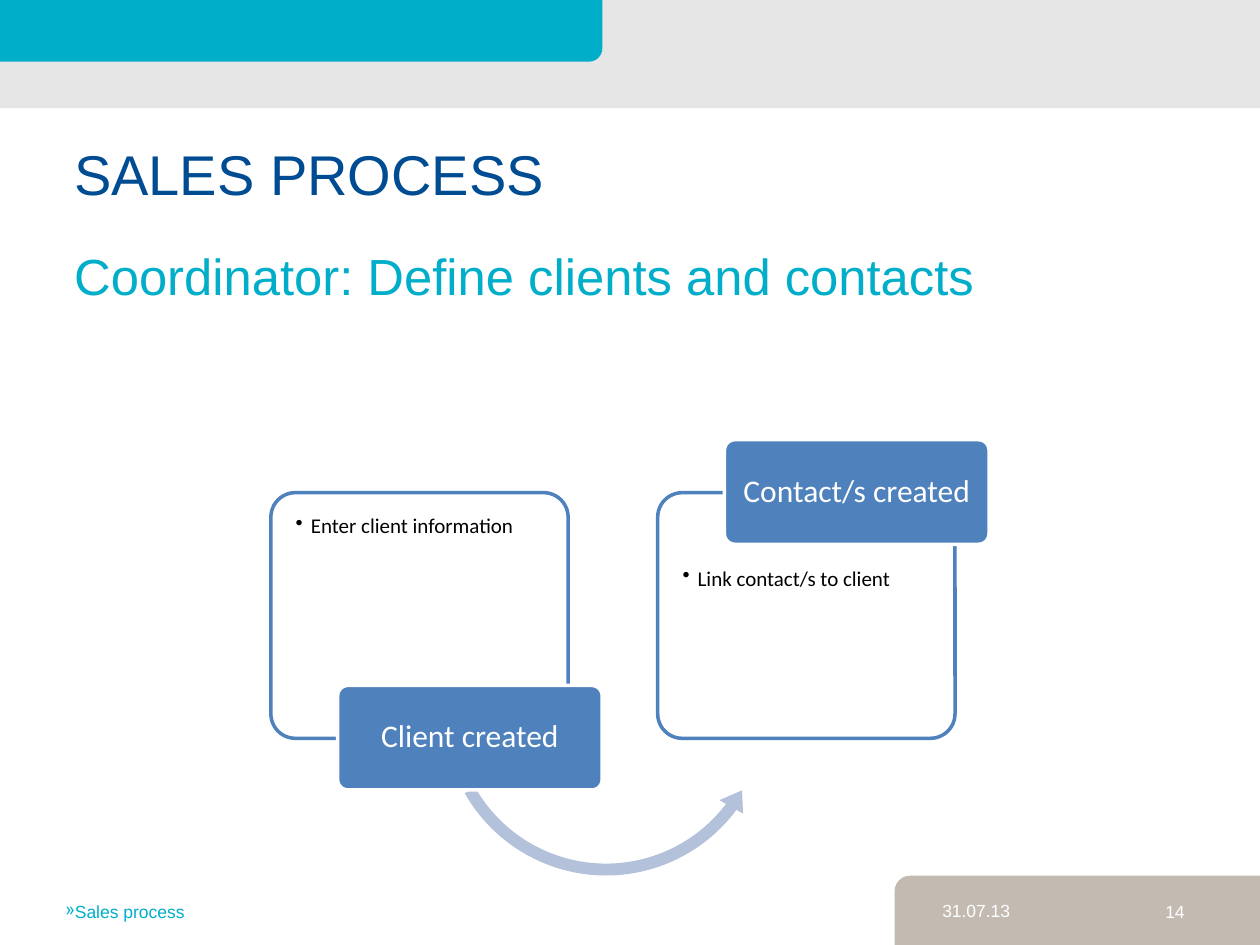
from dataclasses import dataclass

from lxml import etree
from pptx import Presentation
from pptx.dml.color import RGBColor
from pptx.enum.shapes import MSO_SHAPE
from pptx.enum.text import MSO_ANCHOR, PP_ALIGN
from pptx.oxml.ns import qn
from pptx.util import Inches, Pt

RECT = MSO_SHAPE.RECTANGLE
ROUNDED = MSO_SHAPE.ROUNDED_RECTANGLE
CURVED_ARROW = MSO_SHAPE.LEFT_CIRCULAR_ARROW
TOP, MIDDLE = MSO_ANCHOR.TOP, MSO_ANCHOR.MIDDLE
LEFT, CENTER, RIGHT = PP_ALIGN.LEFT, PP_ALIGN.CENTER, PP_ALIGN.RIGHT


@dataclass(frozen=True)
class Theme:
    navy: str = "004C93"
    cyan: str = "00AECA"
    gray: str = "E6E6E6"
    taupe: str = "C3BBB2"
    blue: str = "4F81BD"
    pale_blue: str = "B3C1DB"
    white: str = "FFFFFF"
    black: str = "000000"
    font: str = "Arial"
    diagram_font: str = "Calibri"
    title: int = 32
    subtitle: int = 29
    label: int = 18
    detail: int = 12
    footer: int = 10
    outline: int = 2


class SlideBuilder:
    def __init__(self, slide, theme):
        self.slide = slide
        self.theme = theme

    def shape(self, kind, box, fill, line=None, adjustments=()):
        sp = self.slide.shapes.add_shape(kind, *map(Inches, box))
        sp.shadow.inherit = False
        sp.fill.solid()
        sp.fill.fore_color.rgb = RGBColor.from_string(fill)
        if line:
            sp.line.color.rgb = RGBColor.from_string(line)
            sp.line.width = Pt(self.theme.outline)
        else:
            sp.line.fill.background()
        for i, value in enumerate(adjustments):
            sp.adjustments[i] = value
        return sp

    def set_text(self, sp, text, size, color, font, align=LEFT, anchor=TOP,
                 insets=(0.1, 0.05, 0.1, 0.05)):
        tf = sp.text_frame
        tf.word_wrap = True
        tf.vertical_anchor = anchor
        tf.margin_left, tf.margin_top, tf.margin_right, tf.margin_bottom = map(Inches, insets)
        p = tf.paragraphs[0]
        p.text = text
        p.alignment = align
        p.font.size = Pt(size)
        p.font.name = font
        p.font.color.rgb = RGBColor.from_string(color)
        return p

    def text(self, box, text, size, color, align=LEFT):
        sp = self.slide.shapes.add_textbox(*map(Inches, box))
        return self.set_text(sp, text, size, color, self.theme.font, align)

    def bullet(self, p, char, margin, indent):
        pPr = p._p.get_or_add_pPr()
        pPr.set("marL", str(Inches(margin)))
        pPr.set("indent", str(Inches(indent)))
        bu = etree.Element(qn("a:buChar"), char=char)
        pPr.insert_element_before(bu, "a:tabLst", "a:defRPr", "a:extLst")

    def panel(self, box, text, text_top):
        t = self.theme
        sp = self.shape(ROUNDED, box, t.white, t.blue, [0.1])
        p = self.set_text(sp, text, t.detail, t.black, t.diagram_font,
                          insets=(0.14, text_top, 0.14, 0.14))
        p.line_spacing = 0.9
        self.bullet(p, "•", 0.12, -0.12)

    def label(self, box, text):
        t = self.theme
        sp = self.shape(ROUNDED, box, t.blue, t.white, [0.1])
        p = self.set_text(sp, text, t.label, t.white, t.diagram_font, CENTER, MIDDLE,
                          (0.04, 0.03, 0.04, 0.03))
        p.line_spacing = 0.9


def main():
    prs = Presentation()
    prs.slide_width, prs.slide_height = Inches(10), Inches(7.5)
    t = Theme()
    s = SlideBuilder(prs.slides.add_slide(prs.slide_layouts[6]), t)

    s.shape(ROUNDED, (7.1, 6.95, 3.17, 0.74), t.taupe)
    s.shape(RECT, (0, 0, 10, 0.86), t.gray)
    s.shape(ROUNDED, (-0.31, -0.14, 5.09, 0.63), t.cyan)

    s.text((0.49, 1.06, 9, 0.83), "SALES PROCESS", t.title, t.navy)
    p = s.text((0.49, 1.89, 9.01, 1), "Coordinator: Define clients and contacts",
               t.subtitle, t.cyan)
    p.space_before = Pt(0.2 * t.subtitle)

    # Each step: detail, its text inset, label, label top
    steps = [
        ("Enter client information", 0.12, "Client created", 5.44),
        ("Link contact/s to client", 0.54, "Contact/s created", 3.49),
    ]
    lefts = [2.15 + 3.07 * i for i in range(len(steps))]
    for x, (detail, text_top, _, _) in zip(lefts, steps):
        s.panel((x, 3.91, 2.36, 1.95), detail, text_top)
    s.shape(CURVED_ARROW, (3.46, 4.31, 2.7, 2.7), t.pale_blue,
            adjustments=(0.035, 4.35, 22.1, 90.24, 0.04))
    for x, (_, _, label, y) in zip(lefts, steps):
        s.label((x + 0.53, y, 2.1, 0.83), label)

    p = s.text((0.42, 7.1, 2.35, 0.4), "Sales process", t.footer, t.cyan)
    s.bullet(p, "»", 0, -0.18)
    s.text((7.38, 7.09, 1.68, 0.4), "31.07.13", t.footer, t.white)
    s.text((8.91, 7.1, 0.59, 0.4), "14", t.footer, t.white, RIGHT)

    prs.save("out.pptx")


if __name__ == "__main__":
    main()
